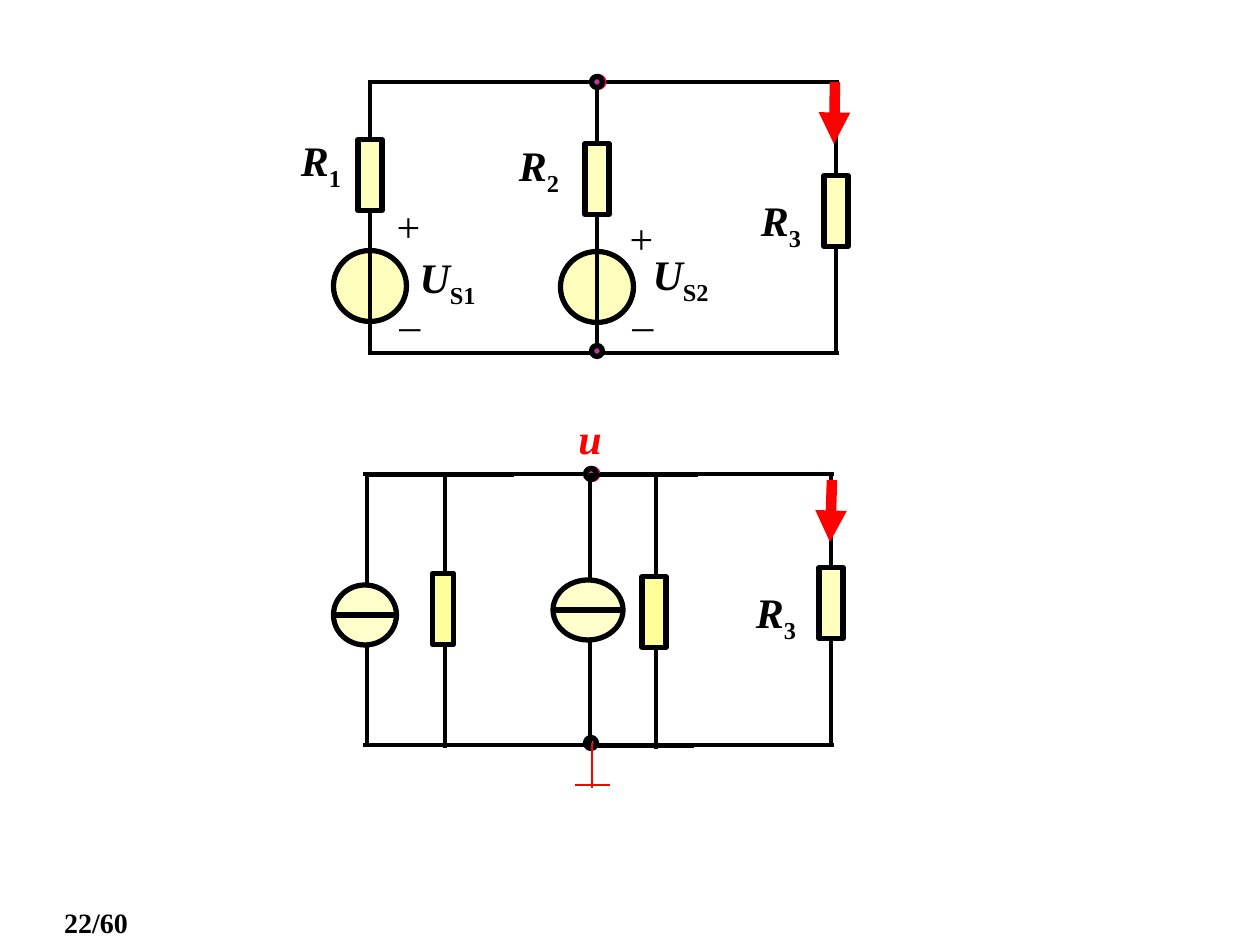
import pptx
import pptx.dml.color
import pptx.enum.shapes
import pptx.enum.text
import pptx.oxml
import pptx.oxml.ns
import pptx.util

PX = 914400 / 126
BLACK = pptx.dml.color.RGBColor(0x00, 0x00, 0x00)
RED = pptx.dml.color.RGBColor(0xFF, 0x00, 0x00)
PINK = pptx.dml.color.RGBColor(0xFF, 0x00, 0x66)
PURPLE = pptx.dml.color.RGBColor(0xB1, 0x3F, 0x9A)
CREAM = pptx.dml.color.RGBColor(0xFF, 0xFF, 0xBD)
YELLOW = pptx.dml.color.RGBColor(0xFF, 0xFF, 0x99)
PALE = pptx.dml.color.RGBColor(0xFF, 0xFF, 0xCC)
OVAL = pptx.enum.shapes.MSO_SHAPE.OVAL
RECTANGLE = pptx.enum.shapes.MSO_SHAPE.RECTANGLE

SYMBOL = {"name": "Times New Roman", "size": pptx.util.Pt(24), "bold": True, "italic": True}
SUBSCRIPT = SYMBOL | {"italic": False}
SIGN = SYMBOL | {"bold": False, "italic": False}
NUMBER = SYMBOL | {"size": pptx.util.Pt(16), "italic": False}


def emu(length):
    return pptx.util.Emu(round(length * PX))


def apply_format(target, values):
    for name, value in values.items():
        setattr(target, name, value)


def add_text(page, left, top, width, height, text, style=SYMBOL, subscript="", color=BLACK):
    box = page.shapes.add_textbox(emu(left), emu(top), emu(width), emu(height))
    apply_format(box.text_frame, {
        "word_wrap": False,
        "vertical_anchor": pptx.enum.text.MSO_ANCHOR.MIDDLE,
    })
    para = box.text_frame.paragraphs[0]
    para.alignment = pptx.enum.text.PP_ALIGN.CENTER
    for content, values in ((text, style), (subscript, SUBSCRIPT)):
        if content:
            span = para.add_run()
            span.text = content
            apply_format(span.font, values)
            span.font.color.rgb = color
            if values is SUBSCRIPT:
                span.font._element.set("baseline", "-25000")


def add_part(page, kind, center_x, center_y, width, height, fill, line=BLACK):
    part = page.shapes.add_shape(
        kind, emu(center_x - width / 2), emu(center_y - height / 2), emu(width), emu(height))
    part.shadow.inherit = False
    part.fill.solid()
    part.fill.fore_color.rgb = fill
    part.line.color.rgb = line
    part.line.width = pptx.util.Pt(3)


def add_wire(page, x1, y1, x2, y2, width=2.25, color=BLACK, arrow=False):
    wire = page.shapes.add_connector(
        pptx.enum.shapes.MSO_CONNECTOR.STRAIGHT, emu(x1), emu(y1), emu(x2), emu(y2))
    wire.line.color.rgb = color
    wire.line.width = pptx.util.Pt(width)
    if arrow:
        tail = pptx.oxml.parse_xml(
            f'<a:tailEnd {pptx.oxml.ns.nsdecls("a")} type="triangle"/>')
        wire.line._get_or_add_ln().append(tail)
    wire._element.spPr.append(
        pptx.oxml.parse_xml(f'<a:effectLst {pptx.oxml.ns.nsdecls("a")}/>'))


def add_frame(page, box, node_x):
    left, top, width, height = box
    load_x = left + 468
    for y in (top, top + height):
        add_wire(page, left, y, left + width, y)
    add_wire(page, load_x, top, load_x, top + 94)
    add_wire(page, load_x, top + 165, load_x, top + height)
    add_part(page, RECTANGLE, load_x, top + 129, 24, 71, CREAM)
    add_text(page, left + 380, top + 106, 66, 71, "R", subscript="3")
    add_part(page, OVAL, left + node_x + 1, top, 12, 11, PINK, PINK)
    for y in (top, top + height - 2):
        add_part(page, OVAL, left + node_x, y, 11, 11, PURPLE)


def add_voltage_branch(page, x, top, bottom, index, resistor_y, source_y,
                       label, sign_x, plus_y, name_y):
    add_part(page, OVAL, x, source_y, 73, 71, CREAM)
    add_wire(page, x, top, x, bottom)
    add_part(page, RECTANGLE, x, resistor_y, 24, 71, CREAM)
    add_text(page, *label, 66, 71, "R", subscript=index)
    add_text(page, sign_x, plus_y, 49, 63, "+", SIGN)
    add_text(page, sign_x + 3, top + 210, 45, 63, "–", SIGN)
    add_text(page, sign_x + 23, name_y, 81, 71, "U", subscript="S" + index)


def add_voltage_circuit(page, box):
    left, top, width, height = box
    bottom = top + height
    add_voltage_branch(page, left + 2, top, bottom, "1", top + 93, top + 204,
                       (left - 80, top + 46), left + 16, top + 112, top + 163)
    add_voltage_branch(page, left + 229, top, bottom, "2", top + 97, top + 205,
                       (left + 138, top + 51), left + 249, top + 124, top + 160)
    add_frame(page, box, 229)
    add_wire(page, left + 467, top, left + 466, top + 62, 6, RED, arrow=True)


def add_current_branch(page, x, top, bottom, top_reach, bottom_reach,
                       resistor_x, resistor_y, resistor_width, source_y, source_width):
    builder = page.shapes.build_freeform(x + top_reach, top, scale=PX)
    builder.add_line_segments([(x, top), (x, bottom), (x + bottom_reach, bottom)], close=False)
    loop = builder.convert_to_shape()
    loop.shadow.inherit = False
    loop.fill.background()
    loop.line.color.rgb = BLACK
    loop.line.width = pptx.util.Pt(2.25)
    add_wire(page, resistor_x + 2, top + 1, resistor_x + 2, bottom + 3, 2)
    add_part(page, RECTANGLE, resistor_x, resistor_y, resistor_width, 71, YELLOW)
    source_x = x - 2
    add_part(page, OVAL, source_x, source_y, source_width, 60, PALE)
    add_wire(page, source_x - source_width / 2, source_y,
             source_x + source_width / 2, source_y, 3)


def add_current_circuit(page, box):
    left, top, width, height = box
    bottom = top + height
    add_frame(page, box, 228)
    add_current_branch(page, left + 4, top + 1, bottom, 147, 141,
                       left + 80, top + 135, 21, top + 141, 63)
    add_current_branch(page, left + 227, top + 1, bottom + 1, 108, 104,
                       left + 291, top + 138, 24, top + 136, 70)
    add_wire(page, left + 469, top + 6, left + 467, top + 68, 6, RED, arrow=True)
    add_wire(page, left + 229, bottom - 2, left + 229, bottom + 43, 1.5, RED)
    add_wire(page, left + 212, bottom + 40, left + 247, bottom + 40, 1.5, RED)
    add_text(page, left + 203, top - 68, 48, 63, "u", color=RED)


def add_page_number(page, box):
    add_text(page, *box, "22/60", NUMBER)


def main():
    deck = pptx.Presentation()
    apply_format(deck, {"slide_width": emu(1260), "slide_height": emu(945)})
    page = deck.slides.add_slide(deck.slide_layouts[6])
    add_voltage_circuit(page, (368, 82, 471, 271))
    add_current_circuit(page, (363, 474, 471, 271))
    add_page_number(page, (36, 899, 120, 46))
    deck.save("out.pptx")


if __name__ == "__main__":
    main()
